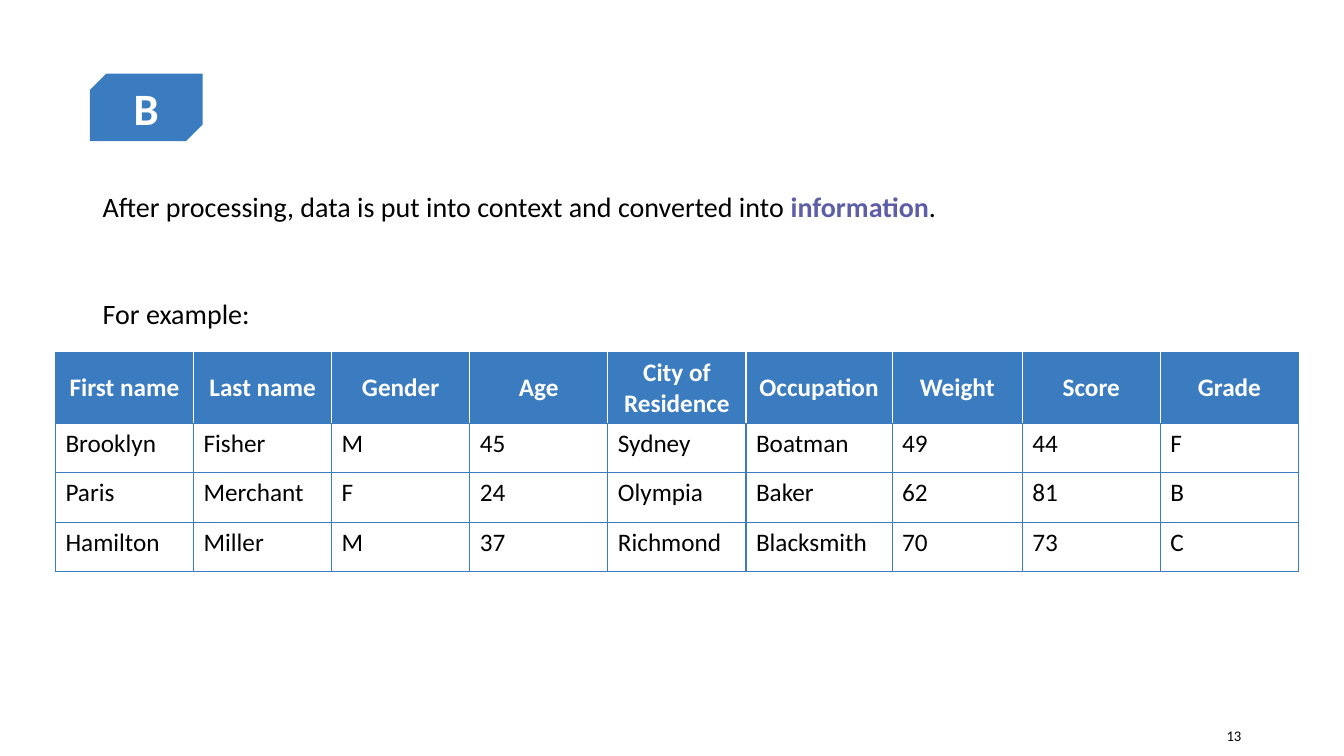
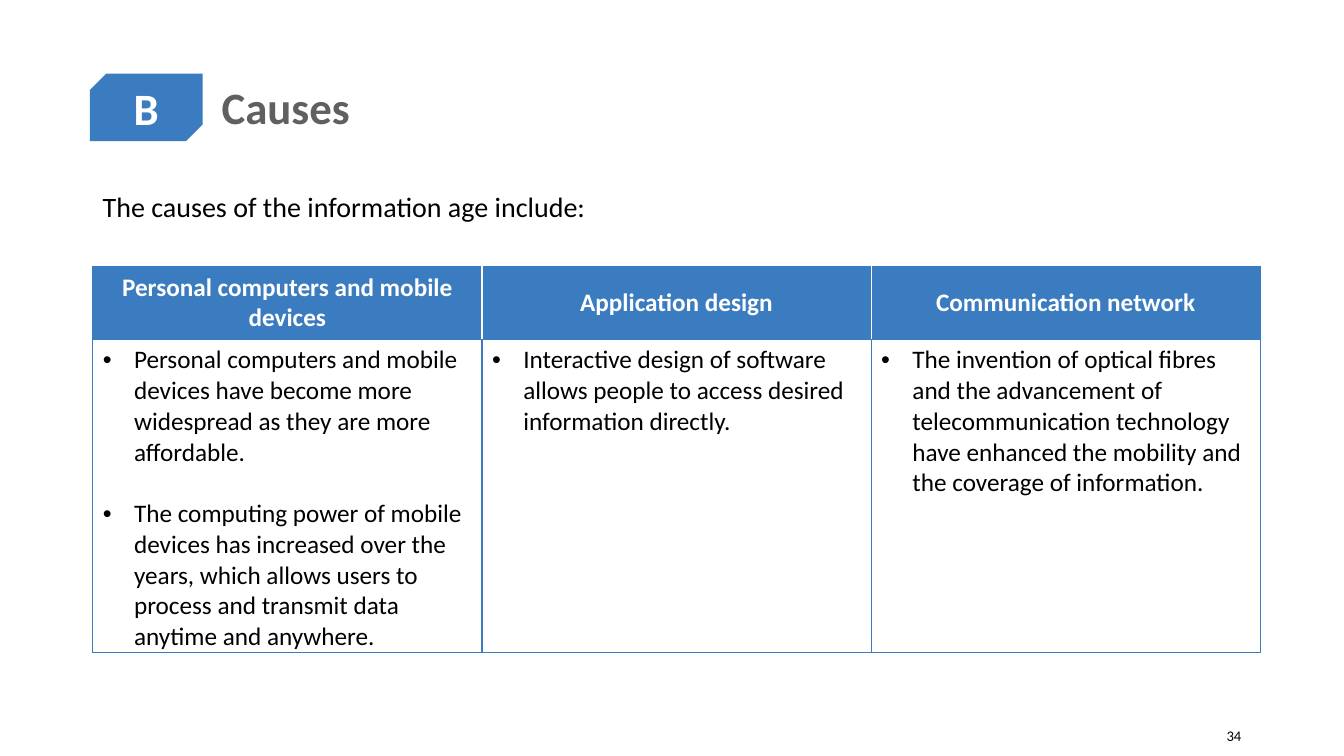
"""Build two lesson slides, each with a section badge, an introduction and a bordered table."""
import dataclasses
import typing

import lxml.etree
import pptx
import pptx.dml.color
import pptx.enum.shapes
import pptx.enum.text
import pptx.oxml.ns
import pptx.slide
import pptx.text.text
import pptx.util

Inches = pptx.util.Inches
Pt = pptx.util.Pt
Align = pptx.enum.text.PP_ALIGN
Anchor = pptx.enum.text.MSO_ANCHOR
qn = pptx.oxml.ns.qn

FONT = "Calibri"
BLUE = "3B7CC0"
PURPLE = "5E5DA8"
GREY = "606060"
BLACK = "000000"
WHITE = "FFFFFF"


@dataclasses.dataclass(frozen=True)
class TextStyle:
    size: float
    colour: str = BLACK
    bold: bool = False
    align: Align = Align.LEFT
    anchor: Anchor = Anchor.TOP
    line_spacing: float = 1.0
    gap: float = 0
    bullet: bool = False


@dataclasses.dataclass(frozen=True)
class Box:
    left: float
    top: float
    width: float
    height: float

    def lengths(self) -> tuple[int, ...]:
        return tuple(Inches(v) for v in dataclasses.astuple(self))


@dataclasses.dataclass(frozen=True)
class TableSpec:
    left: float
    top: float
    columns: list[float]
    header_height: float
    row_height: float
    header: list[str]
    rows: list[list[list[str]]]
    bullets: bool = False


@dataclasses.dataclass(frozen=True)
class Lesson:
    number: str
    title: str
    intro: list[str]
    table: TableSpec


BADGE_STYLE = TextStyle(32, WHITE, True, Align.CENTER, Anchor.MIDDLE)
TITLE_STYLE = TextStyle(32, GREY, True, anchor=Anchor.MIDDLE, line_spacing=0.9)
INTRO_STYLE = TextStyle(20, line_spacing=1.2, gap=48)
NUMBER_STYLE = TextStyle(10.5, align=Align.RIGHT, anchor=Anchor.MIDDLE)
HEADER_STYLE = TextStyle(18, WHITE, True, Align.CENTER, Anchor.MIDDLE)
CELL_STYLE = TextStyle(18)
BULLET_STYLE = TextStyle(18, gap=22, bullet=True)

BADGE_BOX = Box(0.89, 0.73, 1.12, 0.67)
TITLE_BOX = Box(2.1, 0.4, 10.32, 1.38)
INTRO_BOX = Box(0.92, 1.76, 11.5, 5.13)
NUMBER_BOX = Box(11.57, 7.1, 0.84, 0.4)

LESSONS = [
    Lesson(
        "13",
        "",
        ["After processing, data is put into context and converted into *information*.",
         "For example:"],
        TableSpec(
            0.55, 3.5, [1.37] * 5 + [1.45, 1.29] + [1.37] * 2, 0.7, 0.49,
            ["First name", "Last name", "Gender", "Age", "City of Residence",
             "Occupation", "Weight", "Score", "Grade"],
            [[[value] for value in row] for row in [
                ["Brooklyn", "Fisher", "M", "45", "Sydney", "Boatman", "49", "44", "F"],
                ["Paris", "Merchant", "F", "24", "Olympia", "Baker", "62", "81", "B"],
                ["Hamilton", "Miller", "M", "37", "Richmond", "Blacksmith", "70", "73", "C"],
            ]],
        ),
    ),
    Lesson(
        "34",
        "Causes",
        ["The causes of the information age include:"],
        TableSpec(
            0.92, 2.64, [3.86] * 3, 0.73, 3.1,
            ["Personal computers and mobile devices", "Application design",
             "Communication network"],
            [[
                ["Personal computers and mobile devices have become more widespread "
                 "as they are more affordable.",
                 "The computing power of mobile devices has increased over the years, "
                 "which allows users to process and transmit data anytime and anywhere."],
                ["Interactive design of software allows people to access desired "
                 "information directly."],
                ["The invention of optical fibres and the advancement of "
                 "telecommunication technology have enhanced the mobility and the "
                 "coverage of information."],
            ]],
            bullets=True,
        ),
    ),
]


def rgb(colour: str) -> pptx.dml.color.RGBColor:
    return pptx.dml.color.RGBColor.from_string(colour)


def add_bullet(p: typing.Any) -> None:
    pPr = p._p.get_or_add_pPr()
    pPr.set("marL", str(Inches(0.31)))
    pPr.set("indent", str(-Inches(0.31)))
    lxml.etree.SubElement(pPr, qn("a:buFont"), typeface="Arial")
    lxml.etree.SubElement(pPr, qn("a:buChar"), char="•")


def write(tf: pptx.text.text.TextFrame, paragraphs: list[str], style: TextStyle) -> None:
    for i, text in enumerate(paragraphs):
        p = tf.add_paragraph() if i else tf.paragraphs[0]
        if style.bullet:
            add_bullet(p)
        p.alignment = style.align
        p.line_spacing = style.line_spacing
        p.space_before = Pt(style.gap if i else 0)
        for j, part in enumerate(text.split("*")):
            emphasised = j % 2 == 1
            r = p.add_run()
            r.text = part
            r.font.name = FONT
            r.font.size = Pt(style.size)
            r.font.bold = style.bold or emphasised
            r.font.color.rgb = rgb(PURPLE if emphasised else style.colour)


def add_text(s: pptx.slide.Slide, box: Box, paragraphs: list[str], style: TextStyle) -> None:
    tf = s.shapes.add_textbox(*box.lengths()).text_frame
    tf.word_wrap = True
    tf.vertical_anchor = style.anchor
    write(tf, paragraphs, style)


def add_badge(s: pptx.slide.Slide, letter: str) -> None:
    sp = s.shapes.add_shape(
        pptx.enum.shapes.MSO_SHAPE.SNIP_2_DIAG_RECTANGLE, *BADGE_BOX.lengths())
    sp.adjustments[0] = 0.245
    sp.adjustments[1] = 0
    sp.shadow.inherit = False
    sp.fill.solid()
    sp.fill.fore_color.rgb = rgb(BLUE)
    sp.line.fill.background()
    sp.text_frame.vertical_anchor = BADGE_STYLE.anchor
    write(sp.text_frame, [letter], BADGE_STYLE)


def set_borders(cell: typing.Any, left: str, right: str) -> None:
    tcPr = cell._tc.get_or_add_tcPr()
    for side, colour in {"L": left, "R": right, "T": BLUE, "B": BLUE}.items():
        ln = lxml.etree.SubElement(tcPr, qn(f"a:ln{side}"), w=str(Pt(1)))
        fill = lxml.etree.SubElement(ln, qn("a:solidFill"))
        lxml.etree.SubElement(fill, qn("a:srgbClr"), val=colour)


def add_table(s: pptx.slide.Slide, spec: TableSpec) -> None:
    heights = [spec.header_height] + [spec.row_height] * len(spec.rows)
    box = Box(spec.left, spec.top, sum(spec.columns), sum(heights))
    table = s.shapes.add_table(len(heights), len(spec.columns), *box.lengths()).table
    table.first_row = table.horz_banding = False
    for column, width in zip(table.columns, spec.columns):
        column.width = Inches(width)
    body_style = BULLET_STYLE if spec.bullets else CELL_STYLE
    last = len(spec.columns) - 1
    for i, values in enumerate([[[name] for name in spec.header]] + spec.rows):
        table.rows[i].height = Inches(heights[i])
        style = body_style if i else HEADER_STYLE
        inner = BLUE if i else WHITE
        for j, paragraphs in enumerate(values):
            cell = table.cell(i, j)
            set_borders(cell, inner if j else BLUE, inner if j < last else BLUE)
            cell.fill.solid()
            cell.fill.fore_color.rgb = rgb(WHITE if i else BLUE)
            cell.vertical_anchor = style.anchor
            write(cell.text_frame, paragraphs, style)


def add_lesson(prs: typing.Any, lesson: Lesson) -> None:
    s = prs.slides.add_slide(prs.slide_layouts[6])
    add_badge(s, "B")
    if lesson.title:
        add_text(s, TITLE_BOX, [lesson.title], TITLE_STYLE)
    add_text(s, NUMBER_BOX, [lesson.number], NUMBER_STYLE)
    add_text(s, INTRO_BOX, lesson.intro, INTRO_STYLE)
    add_table(s, lesson.table)


def main() -> None:
    prs = pptx.Presentation()
    prs.slide_width = Inches(13.33)
    prs.slide_height = Inches(7.5)
    for lesson in LESSONS:
        add_lesson(prs, lesson)
    prs.save("out.pptx")


if __name__ == "__main__":
    main()
